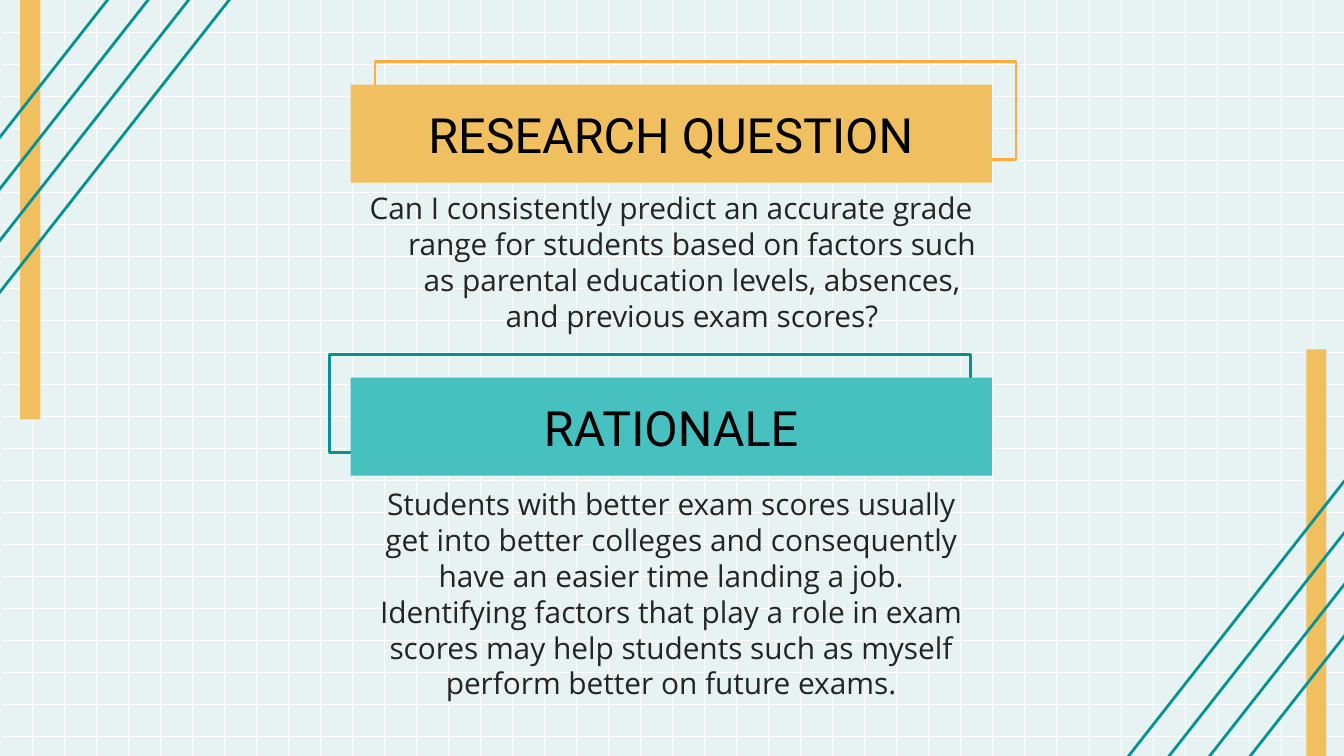
from dataclasses import dataclass

from lxml.etree import SubElement
from pptx import Presentation
from pptx.dml.color import RGBColor
from pptx.enum.shapes import MSO_CONNECTOR, MSO_SHAPE
from pptx.enum.text import MSO_ANCHOR, PP_ALIGN
from pptx.oxml.ns import qn
from pptx.util import Inches, Pt


@dataclass(frozen=True)
class Theme:
    background: str = "E7F3F3"
    grid: str = "FFFFFF"
    gold: str = "EFBF60"
    orange: str = "FFAB40"
    teal: str = "47C0C0"
    dark_teal: str = "049292"
    heading_ink: str = "000000"
    body_ink: str = "242424"
    heading_font: str = "Roboto"
    body_font: str = "Open Sans"
    heading_size: float = 26
    body_size: float = 16
    grid_width: float = 0.37
    line_width: float = 1.5


THEME = Theme()
PAGE_WIDTH = 10
PAGE_HEIGHT = PAGE_WIDTH * 9 / 16
GRID_COLUMNS, GRID_ROWS = 41, 23
GRID_PITCH = 9.77 / GRID_COLUMNS
STRIPES = 4


def colour(value):
    return RGBColor.from_string(value)


def add_line(page, start, end, ink, width):
    line = page.shapes.add_connector(
        MSO_CONNECTOR.STRAIGHT, *map(Inches, (*start, *end)))
    line.line.color.rgb = colour(ink)
    line.line.width = Pt(width)
    SubElement(line._element.spPr, qn("a:effectLst"))


def add_rectangle(page, box, fill=None, outline=None):
    rectangle = page.shapes.add_shape(MSO_SHAPE.RECTANGLE, *map(Inches, box))
    rectangle.shadow.inherit = False
    if fill:
        rectangle.fill.solid()
        rectangle.fill.fore_color.rgb = colour(fill)
    else:
        rectangle.fill.background()
    if outline:
        rectangle.line.color.rgb = colour(outline)
        rectangle.line.width = Pt(THEME.line_width)
    else:
        rectangle.line.fill.background()
    return rectangle


def write(shape, text, font, size, ink):
    """Put one centred paragraph in the shape and return it."""
    frame = shape.text_frame
    frame.word_wrap = True
    frame.vertical_anchor = MSO_ANCHOR.MIDDLE
    frame.margin_left = frame.margin_right = Inches(0.1)
    frame.margin_top = frame.margin_bottom = Inches(0.1)
    para = frame.paragraphs[0]
    para.text = text
    para.alignment = PP_ALIGN.CENTER
    para.font.name = font
    para.font.size = Pt(size)
    para.font.color.rgb = colour(ink)
    return para


def draw_grid(page):
    for column in range(1, GRID_COLUMNS + 1):
        x = column * GRID_PITCH
        add_line(page, (x, 0), (x, 5.7), THEME.grid, THEME.grid_width)
    for row in range(1, GRID_ROWS + 1):
        y = row * GRID_PITCH
        add_line(page, (0.02, y), (PAGE_WIDTH, y), THEME.grid, THEME.grid_width)


def draw_corner(page, bar_left, bar_top, stripes_left, stripes_top):
    """Draw a gold bar crossed by parallel diagonal stripes."""
    add_rectangle(page, (bar_left, bar_top, 0.15, 3.52), fill=THEME.gold)
    for index in range(STRIPES):
        share = index / (STRIPES - 1)
        left = stripes_left + share * 0.56
        top = stripes_top + share * 0.44
        add_line(page, (left, top + 3.02), (left + 2.37, top),
                 THEME.dark_teal, THEME.line_width)


def draw_section(page, box, heading, body, fill, outline, frame_shift,
                 body_offset, hanging=0):
    """Draw a heading band over a shifted frame, with body text below."""
    left, top, width, height = box
    add_rectangle(page, (left + frame_shift, top - 0.17, width, height),
                  outline=outline)
    band = add_rectangle(page, box, fill=fill)
    write(band, heading, THEME.heading_font, THEME.heading_size,
          THEME.heading_ink)
    body_box = page.shapes.add_textbox(
        *map(Inches, (left, top + body_offset, width, 0.29)))
    para = write(body_box, body, THEME.body_font, THEME.body_size,
                 THEME.body_ink)
    if hanging:
        properties = para._p.get_or_add_pPr()
        properties.set("marL", str(Inches(hanging)))
        properties.set("indent", str(-Inches(hanging)))


def main():
    deck = Presentation()
    deck.slide_width, deck.slide_height = Inches(PAGE_WIDTH), Inches(PAGE_HEIGHT)
    page = deck.slides.add_slide(deck.slide_layouts[6])
    page.background.fill.solid()
    page.background.fill.fore_color.rgb = colour(THEME.background)

    draw_grid(page)
    draw_corner(page, 0.15, -0.4, -0.77, -1.02)
    draw_corner(page, 9.72, 2.6, 7.86, 3.29)
    draw_section(
        page, (2.61, 0.63, 4.77, 0.73), "RESEARCH QUESTION",
        "Can I consistently predict an accurate grade range for students "
        "based on factors such as parental education levels, absences, and "
        "previous exam scores?",
        THEME.gold, THEME.orange, 0.18, 1.17, hanging=0.31)
    draw_section(
        page, (2.61, 2.81, 4.77, 0.73), "RATIONALE",
        "Students with better exam scores usually get into better colleges "
        "and consequently have an easier time landing a job. Identifying "
        "factors that play a role in exam scores may help students such as "
        "myself perform better on future exams.",
        THEME.teal, THEME.dark_teal, -0.16, 1.46)
    deck.save("out.pptx")


if __name__ == "__main__":
    main()
